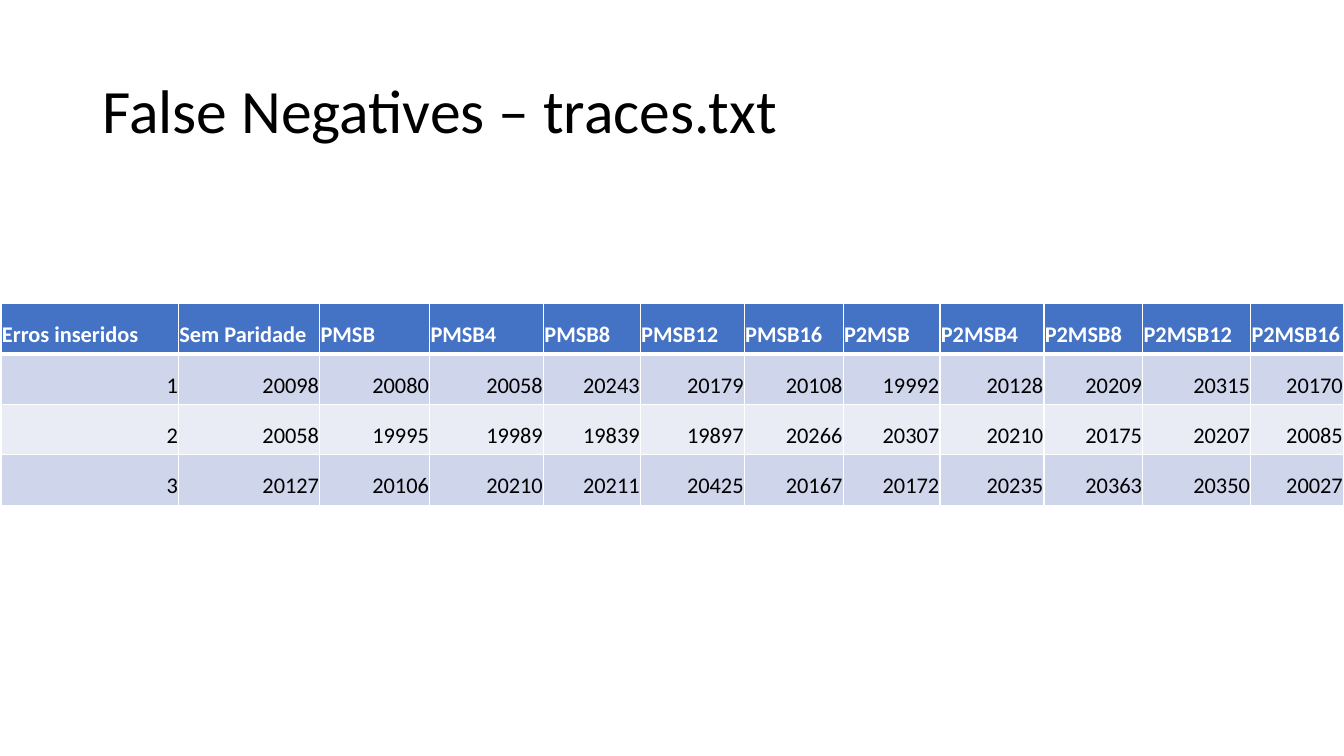
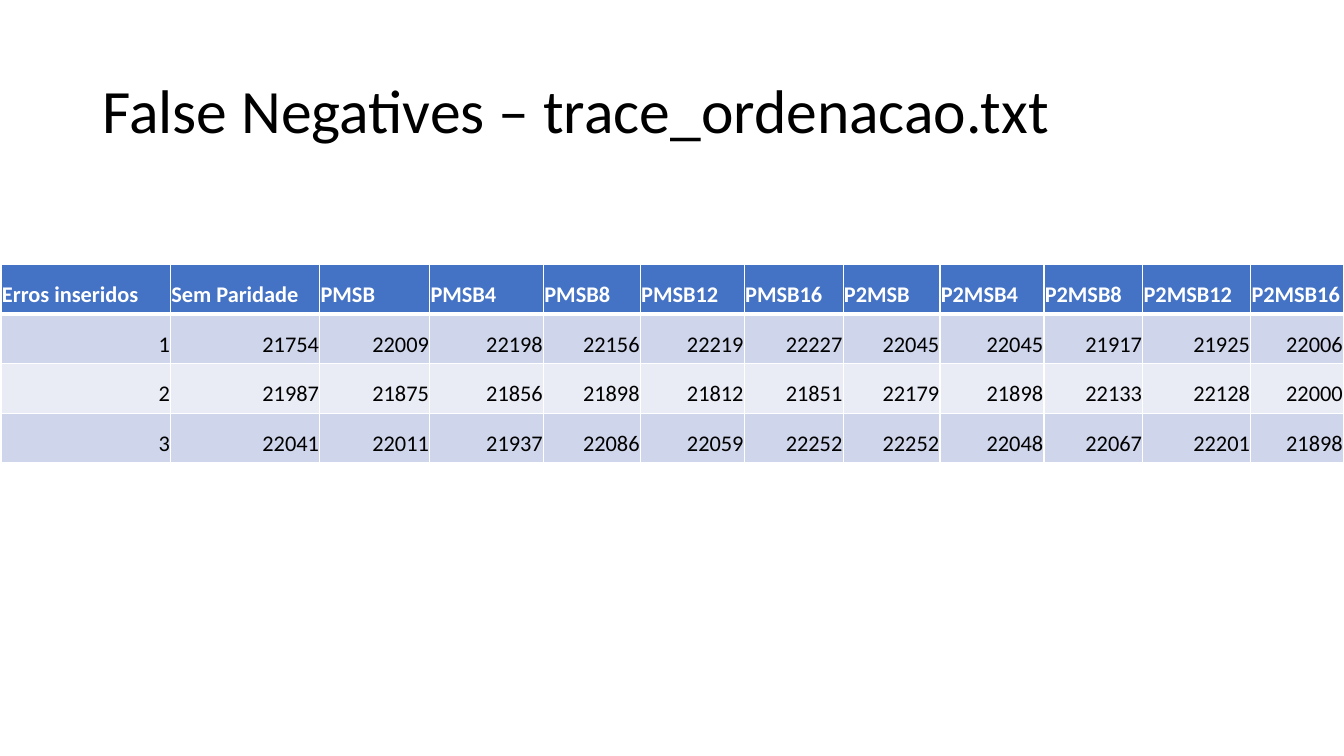
from dataclasses import dataclass

from lxml.etree import SubElement
from pptx import Presentation
from pptx.dml.color import RGBColor
from pptx.enum.text import MSO_ANCHOR, MSO_AUTO_SIZE, PP_ALIGN
from pptx.oxml.ns import qn
from pptx.util import Cm, Pt


@dataclass(frozen=True)
class Theme:
    font: str = "Calibri"
    title_size: Pt = Pt(44)
    cell_size: Pt = Pt(16)
    ink: RGBColor = RGBColor(0x00, 0x00, 0x00)
    paper: RGBColor = RGBColor(0xFF, 0xFF, 0xFF)
    header: RGBColor = RGBColor(0x44, 0x72, 0xC4)
    odd_band: RGBColor = RGBColor(0xCF, 0xD5, 0xEA)
    even_band: RGBColor = RGBColor(0xE9, 0xEB, 0xF5)
    rule: Pt = Pt(1)
    header_rule: Pt = Pt(3)


THEME = Theme()
TITLE_ONLY = 5
TITLE_BOX = (Cm(2.33), Cm(1.01), Cm(29.21), Cm(3.68))

SCHEMES = ["Sem Paridade"] + [
    f"{prefix}{bits}" for prefix in ("PMSB", "P2MSB") for bits in ("", 4, 8, 12, 16)
]
HEADINGS = ["Erros inseridos"] + SCHEMES
SCHEME_WIDTHS = [2.77, 2.87, 2.44, 2.62, 2.49, 2.44, 2.62, 2.49, 2.72, 2.34]

# False negatives per scheme, one row for each number of inserted errors
TRACES = [
    [20098, 20080, 20058, 20243, 20179, 20108, 19992, 20128, 20209, 20315, 20170],
    [20058, 19995, 19989, 19839, 19897, 20266, 20307, 20210, 20175, 20207, 20085],
    [20127, 20106, 20210, 20211, 20425, 20167, 20172, 20235, 20363, 20350, 20027],
]
TRACE_ORDENACAO = [
    [21754, 22009, 22198, 22156, 22219, 22227, 22045, 22045, 21917, 21925, 22006],
    [21987, 21875, 21856, 21898, 21812, 21851, 22179, 21898, 22133, 22128, 22000],
    [22041, 22011, 21937, 22086, 22059, 22252, 22252, 22048, 22067, 22201, 21898],
]


def add_text(paragraph, text, size, color, bold=False):
    run = paragraph.add_run()
    run.text = text
    run.font.name = THEME.font
    run.font.size = size
    run.font.bold = bold
    run.font.color.rgb = color


def add_title(slide, text, box):
    title = slide.shapes.title
    title.left, title.top, title.width, title.height = box
    frame = title.text_frame
    frame.word_wrap = True
    frame.auto_size = MSO_AUTO_SIZE.NONE
    frame.vertical_anchor = MSO_ANCHOR.MIDDLE
    paragraph = frame.paragraphs[0]
    paragraph.alignment = PP_ALIGN.LEFT
    paragraph.line_spacing = 0.9
    add_text(paragraph, text, THEME.title_size, THEME.ink)


def set_borders(cell, top, bottom):
    properties = cell._tc.get_or_add_tcPr()
    edges = {"L": THEME.rule, "R": THEME.rule, "T": top, "B": bottom}
    for side, width in edges.items():
        line = SubElement(properties, qn(f"a:ln{side}"), w=str(width))
        fill = SubElement(line, qn("a:solidFill"))
        SubElement(fill, qn("a:srgbClr"), val=str(THEME.paper))


def format_cell(cell, text, row):
    is_header = row == 0
    set_borders(
        cell,
        top=THEME.header_rule if row == 1 else THEME.rule,
        bottom=THEME.header_rule if is_header else THEME.rule,
    )
    cell.margin_left = cell.margin_right = cell.margin_top = Cm(0.02)
    cell.margin_bottom = Cm(0.13)
    cell.vertical_anchor = MSO_ANCHOR.BOTTOM
    band = THEME.odd_band if row % 2 else THEME.even_band
    cell.fill.solid()
    cell.fill.fore_color.rgb = THEME.header if is_header else band
    paragraph = cell.text_frame.paragraphs[0]
    paragraph.alignment = PP_ALIGN.LEFT if is_header else PP_ALIGN.RIGHT
    color = THEME.paper if is_header else THEME.ink
    add_text(paragraph, text, THEME.cell_size, color, bold=is_header)


def add_counts(slide, counts, left, top, row_height, widths):
    rows = [HEADINGS] + [[errors, *row] for errors, row in enumerate(counts, 1)]
    table = slide.shapes.add_table(
        len(rows), len(HEADINGS), left, top, Cm(sum(widths)), row_height * len(rows)
    ).table
    for column, width in zip(table.columns, widths):
        column.width = Cm(width)
    for index, values in enumerate(rows):
        table.rows[index].height = row_height
        for column, value in enumerate(values):
            format_cell(table.cell(index, column), str(value), index)


def add_results_slide(deck, trace, counts, top, row_height, first_widths):
    slide = deck.slides.add_slide(deck.slide_layouts[TITLE_ONLY])
    add_title(slide, f"False Negatives – {trace}", TITLE_BOX)
    add_counts(slide, counts, Cm(0.03), top, row_height, first_widths + SCHEME_WIDTHS)


def main():
    deck = Presentation()
    deck.slide_width, deck.slide_height = Cm(33.87), Cm(19.05)
    add_results_slide(deck, "traces.txt", TRACES, Cm(7.65), Cm(1.27), [4.47, 3.56])
    add_results_slide(
        deck, "trace_ordenacao.txt", TRACE_ORDENACAO, Cm(6.66), Cm(1.25), [4.27, 3.76]
    )
    deck.save("out.pptx")


if __name__ == "__main__":
    main()
